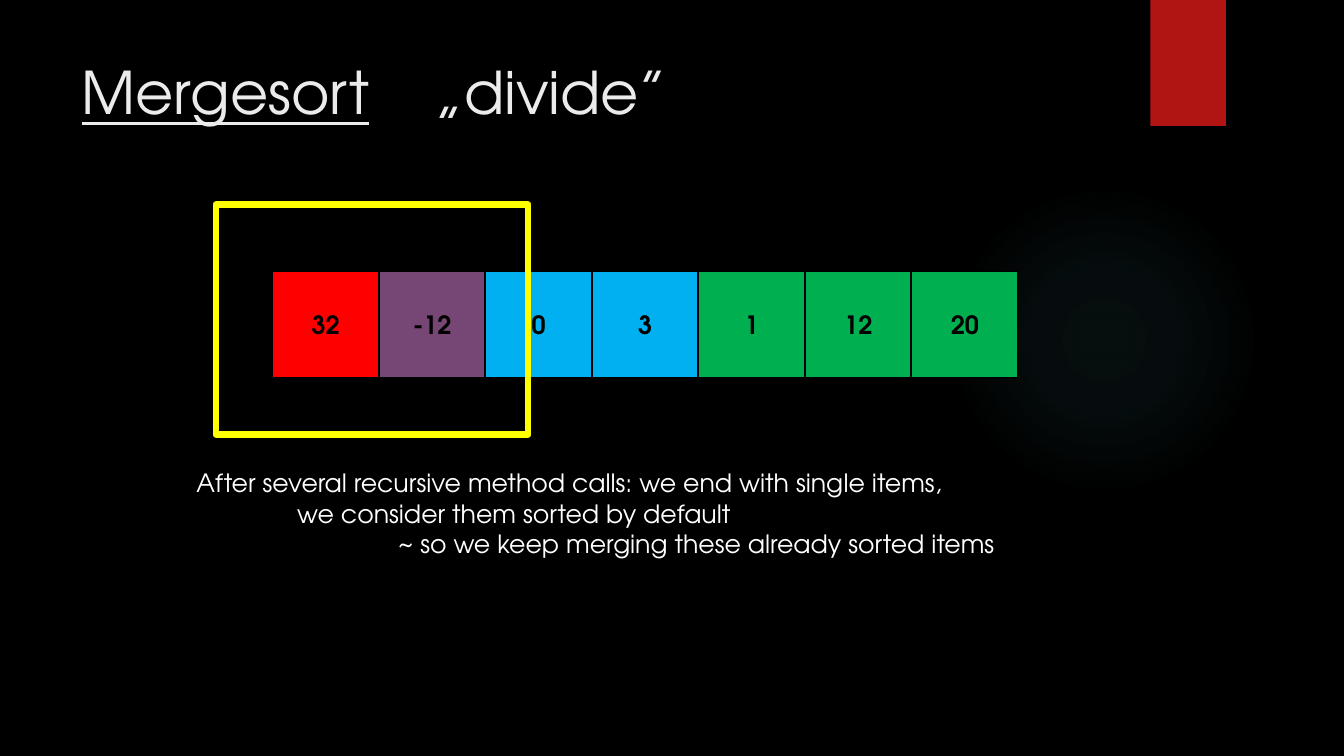
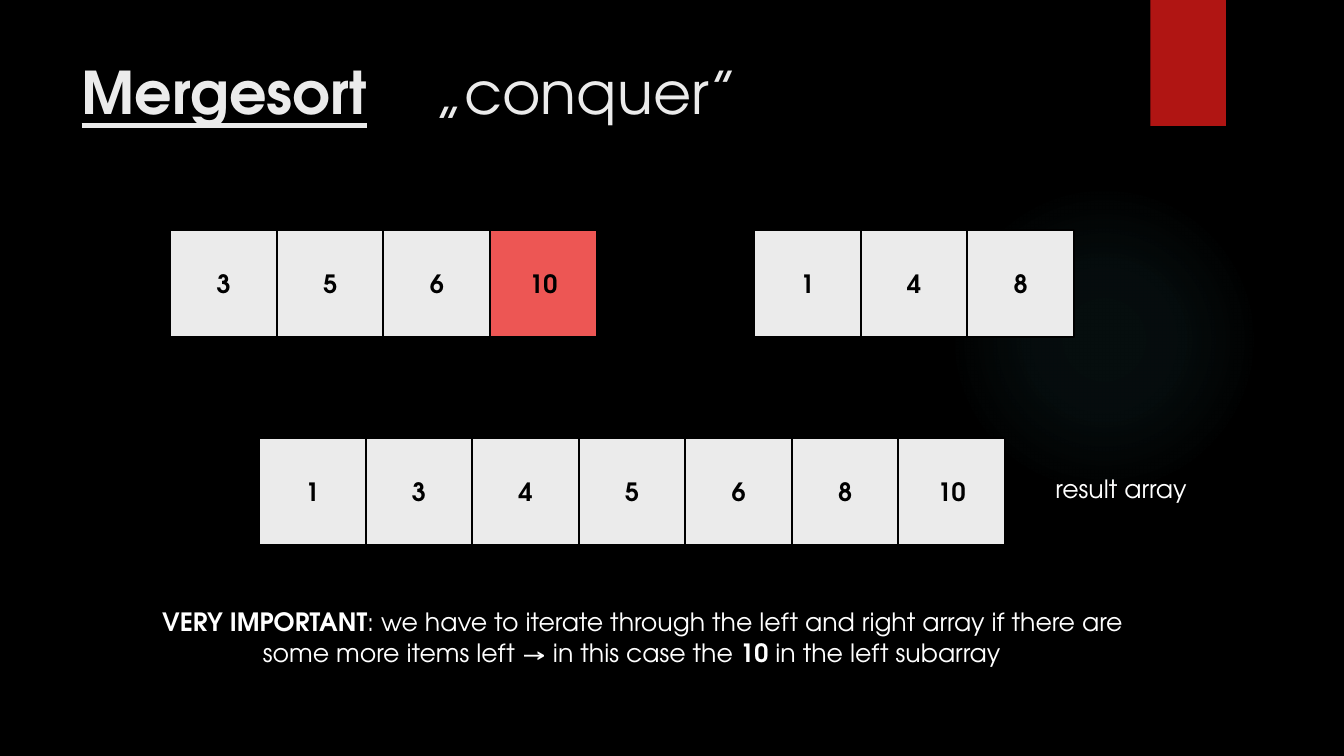
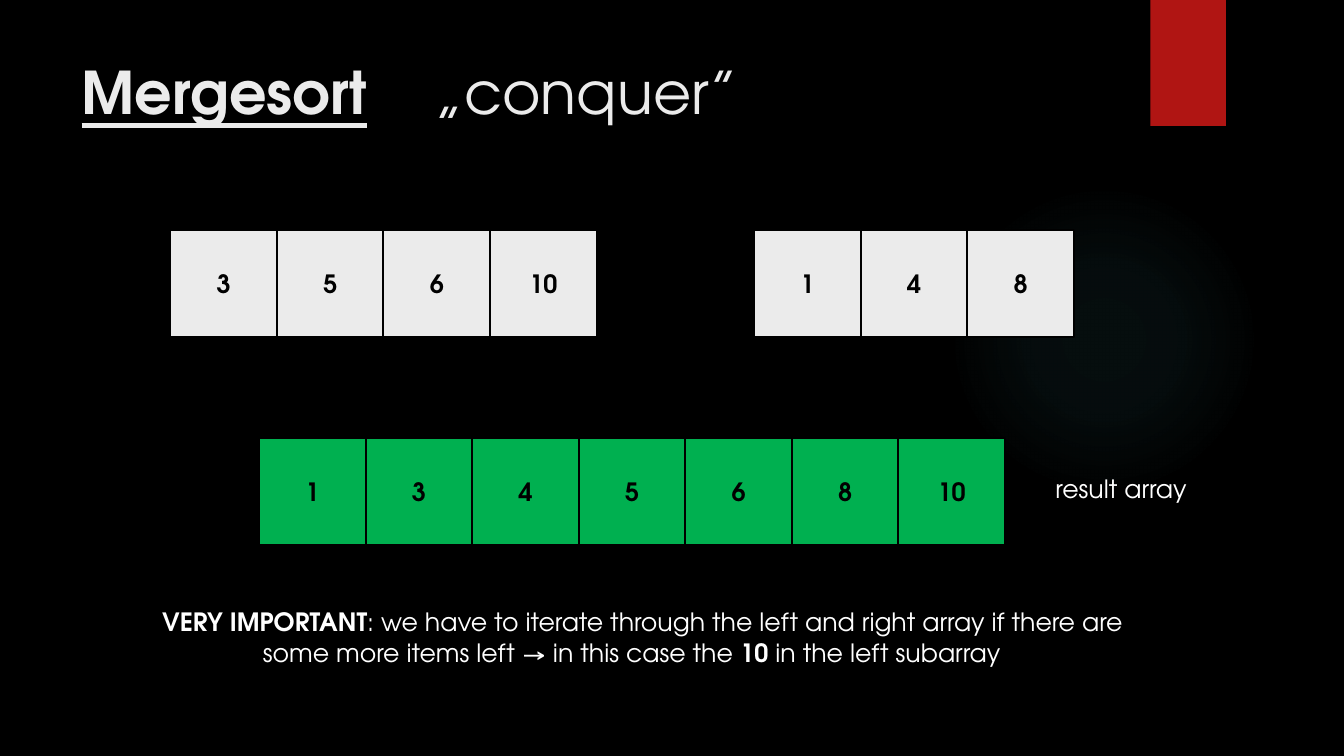
"""Build three slides on the divide and conquer steps of mergesort."""
from pptx import Presentation, oxml
from pptx import util as u
from pptx.dml import color
from pptx.enum import shapes, text

INK, PALE, WHITE, GREEN, SKY = "000000", "EBEBEB", "FFFFFF", "00B050", "00B0F0"
RED, PLUM, ROSE, FLAG, GOLD = "FF0000", "764674", "ED5654", "B01513", "FFFF00"
FACE = "TeX Gyre Adventor"
SIDE, STEP = 1.06, 6.34 / 6
NS = 'xmlns:a="http://schemas.openxmlformats.org/drawingml/2006/main"'
RECT, OVAL = shapes.MSO_SHAPE.RECTANGLE, shapes.MSO_SHAPE.OVAL


def paint(fill, hue):
    fill.solid()
    fill.fore_color.rgb = color.RGBColor.from_string(hue)


def write(par, words, size, hue, bold=False):
    run = par.add_run()
    run.text = words
    run.font.name, run.font.size, run.font.bold = FACE, u.Pt(size), bold
    paint(run.font.fill, hue)
    return run


prs = Presentation()
prs.slide_width, prs.slide_height = u.Inches(13.33), u.Inches(7.5)
paint(prs.slide_master.background.fill, INK)
base = prs.slide_layouts[5]
head = base.placeholders[0]
head.left, head.top = u.Inches(0.71), u.Inches(0.5)
head.width, head.height = u.Inches(10.29), u.Inches(1.53)
deck = [prs.slides.add_slide(base) for _ in range(3)]

glow = deck[0].shapes.add_shape(OVAL, u.Inches(9.41), u.Inches(1.83), u.Inches(3.08), u.Inches(3.08))
flag = deck[0].shapes.add_shape(RECT, u.Inches(11.41), 0, u.Inches(0.75), u.Inches(1.25))
for spot, item in enumerate((glow, flag), 2):
    item.line.fill.background()
    item.shadow.inherit = False
    base.shapes.element.insert(spot, item.element)

stops = "".join(
    f'<a:gs pos="{pos}000"><a:srgbClr val="50B9C1"><a:alpha val="{alpha}000"/></a:srgbClr></a:gs>'
    for pos, alpha in ((0, 7), (36, 6), (69, 0)))
glow.element.spPr.find(oxml.ns.qn("a:prstGeom")).addnext(oxml.parse_xml(
    f'<a:gradFill {NS}><a:gsLst>{stops}</a:gsLst><a:path path="circle">'
    '<a:fillToRect l="50000" t="50000" r="50000" b="50000"/></a:path></a:gradFill>'))
paint(flag.fill, FLAG)
flag.element.spPr.find(oxml.ns.qn("a:effectLst")).append(oxml.parse_xml(
    f'<a:outerShdw {NS} blurRad="38100" dist="25400" dir="5400000" rotWithShape="0">'
    f'<a:srgbClr val="{INK}"><a:alpha val="45000"/></a:srgbClr></a:outerShdw>'))

left, right = [3, 5, 6, 10], [1, 4, 8]
total = sorted(left + right)
label = (10.37, 4.65, 1.55, 0.4, [[("result array", False)]])
note = (1.51, 5.97, 9.99, 0.71, [
    [("VERY IMPORTANT", True),
     (": we have to iterate through the left and right array if there are", False)],
    [("some more items left → in this case the ", False), ("10", True),
     (" in the left subarray", False)]])
steps = (1.85, 4.59, 8.3, 1.01, [
    [("After several recursive method calls: we end with single items,", False)],
    [("we consider them sorted by default", False)],
    [("~ so we keep merging these already sorted items", False)]])

plan = [
    ("„divide”", False,
     [(2.7, 2.69, [32, -12, 0, 3, 1, 12, 20], [RED, PLUM] + [SKY] * 2 + [GREEN] * 3)],
     [steps]),
    ("„conquer”", True,
     [(1.69, 2.28, left, [PALE] * 3 + [ROSE]), (7.48, 2.28, right, [PALE] * 3),
      (2.57, 4.35, total, [PALE] * 7)],
     [label, note]),
    ("„conquer”", True,
     [(1.69, 2.28, left, [PALE] * 4), (7.48, 2.28, right, [PALE] * 3),
      (2.57, 4.35, total, [GREEN] * 7)],
     [label, note]),
]

for slide, (phase, bold, rows, notes) in zip(deck, plan):
    frame = slide.shapes.title.text_frame
    frame.auto_size = text.MSO_AUTO_SIZE.NONE
    frame.vertical_anchor = text.MSO_ANCHOR.TOP
    par = frame.paragraphs[0]
    par.alignment = text.PP_ALIGN.LEFT
    par._p.get_or_add_pPr().append(oxml.parse_xml(
        f'<a:tabLst {NS}><a:tab pos="{u.Inches(3.5)}" algn="l"/></a:tabLst>'))
    write(par, "Mergesort", 42, PALE, bold).font.underline = True
    write(par, "\t" + phase, 42, PALE)

    for x, y, nums, hues in rows:
        for col, (num, hue) in enumerate(zip(nums, hues)):
            cell = slide.shapes.add_shape(
                RECT, u.Inches(x + col * STEP), u.Inches(y), u.Inches(SIDE), u.Inches(SIDE))
            cell.shadow.inherit = False
            paint(cell.fill, hue)
            paint(cell.line.fill, INK)
            cell.line.width = u.Pt(1.5)
            par = cell.text_frame.paragraphs[0]
            par.alignment = text.PP_ALIGN.CENTER
            write(par, str(num), 18, INK, True)

    for x, y, wide, high, lines in notes:
        box = slide.shapes.add_textbox(u.Inches(x), u.Inches(y), u.Inches(wide), u.Inches(high))
        frame = box.text_frame
        frame.word_wrap = True
        for depth, runs in enumerate(lines):
            par = frame.add_paragraph() if depth else frame.paragraphs[0]
            par._p.get_or_add_pPr().set("marL", str(u.Inches(depth)))
            for words, strong in runs:
                write(par, words, 18, WHITE, strong)

focus = deck[0].shapes.add_shape(RECT, u.Inches(2.14), u.Inches(2.03), u.Inches(3.1), u.Inches(2.28))
focus.shadow.inherit = False
focus.fill.background()
paint(focus.line.fill, GOLD)
focus.line.width = u.Pt(4.5)

prs.save("out.pptx")
